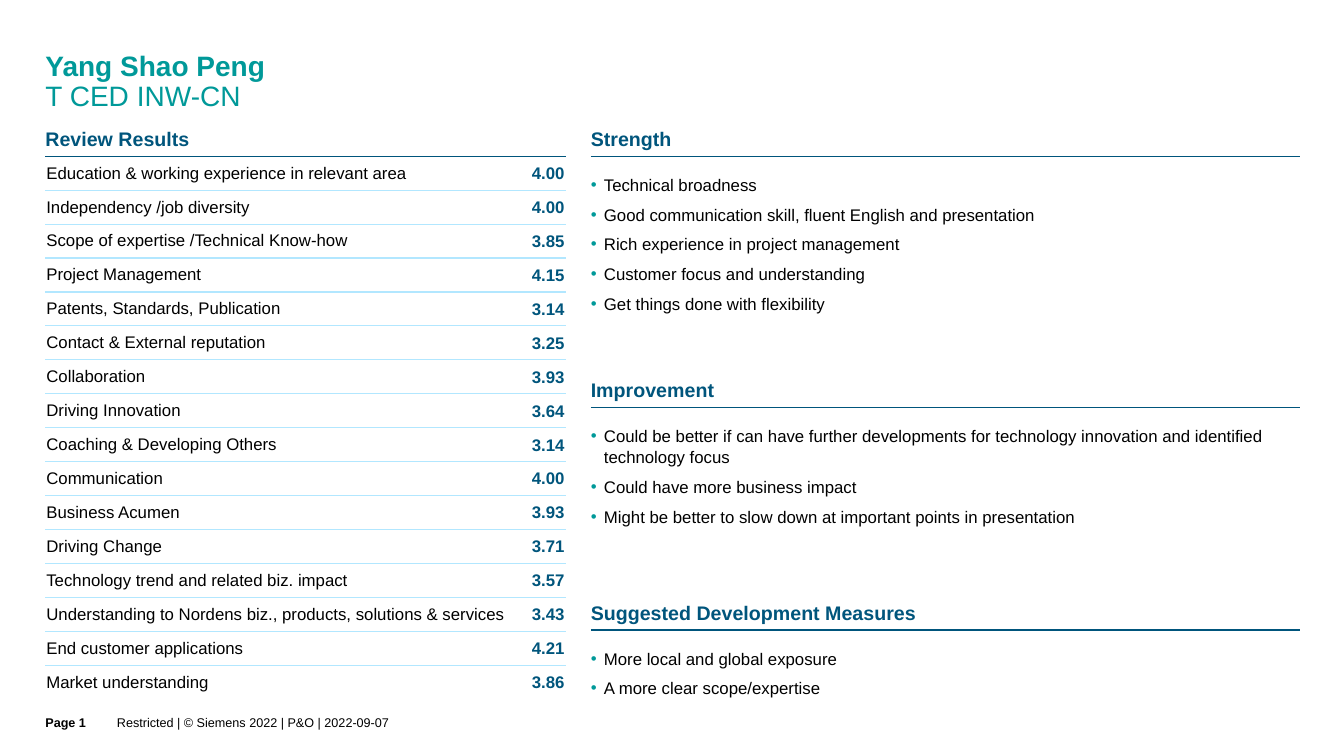
from dataclasses import dataclass
from typing import Optional

import lxml.etree
import pptx
import pptx.dml.color
import pptx.enum.shapes
import pptx.enum.text
import pptx.oxml
import pptx.oxml.ns
import pptx.util

Inches = pptx.util.Inches
Pt = pptx.util.Pt
Anchor = pptx.enum.text.MSO_ANCHOR
Align = pptx.enum.text.PP_ALIGN

COLORS = {"teal": "009999", "blue": "00557C", "rule": "B2E7FF", "text": "000000"}
FONT = "Arial"
LEFT, RIGHT = 0.45, 5.86
LEFT_WIDTH, RIGHT_WIDTH = 5.16, 7.03
FIRST_TOP = 1.24
RULE_OFFSET, LIST_OFFSET = 0.31, 0.48
TABLE_HEIGHT = 5.39
VALUE_WIDTH = 0.47


@dataclass
class Section:
    """A heading with a rule and, where it has points, a bullet list below."""
    heading: str
    left: float
    top: float
    width: float
    points: tuple[str, ...] = ()
    list_height: float = 0
    heading_idx: Optional[int] = None
    list_idx: Optional[int] = None


@dataclass
class Footer:
    text: str
    left: float
    width: float
    bold: bool


SECTIONS = [
    Section("Review Results", LEFT, FIRST_TOP, LEFT_WIDTH, heading_idx=1),
    Section("Strength", RIGHT, FIRST_TOP, RIGHT_WIDTH, (
        "Technical broadness",
        "Good communication skill, fluent English and presentation",
        "Rich experience in project management",
        "Customer focus and understanding",
        "Get things done with flexibility",
    ), 1.35, heading_idx=3, list_idx=2),
    Section("Improvement", RIGHT, 3.73, RIGHT_WIDTH, (
        "Could be better if can have further developments for technology "
        "innovation and identified technology focus",
        "Could have more business impact",
        "Might be better to slow down at important points in presentation",
    ), 0.98, list_idx=4),
    Section("Suggested Development Measures", RIGHT, 5.94, RIGHT_WIDTH, (
        "More local and global exposure",
        "A more clear scope/expertise",
    ), 0.49),
]

RESULTS = [
    ("Education & working experience in relevant area", "4.00"),
    ("Independency /job diversity", "4.00"),
    ("Scope of expertise /Technical Know-how", "3.85"),
    ("Project Management", "4.15"),
    ("Patents, Standards, Publication", "3.14"),
    ("Contact & External reputation", "3.25"),
    ("Collaboration", "3.93"),
    ("Driving Innovation", "3.64"),
    ("Coaching & Developing Others", "3.14"),
    ("Communication", "4.00"),
    ("Business Acumen", "3.93"),
    ("Driving Change", "3.71"),
    ("Technology trend and related biz. impact", "3.57"),
    ("Understanding to Nordens biz., products, solutions & services", "3.43"),
    ("End customer applications", "4.21"),
    ("Market understanding", "3.86"),
]

FOOTERS = [
    Footer("Restricted | © Siemens 2022 | P&O | 2022-09-07", 1.16, 10.08, False),
    Footer("Page 1", LEFT, 0.71, True),
]


def add_span(para, text: str, size: float, color: str, bold: bool = False) -> None:
    span = para.add_run()
    span.text = text
    span.font.name = FONT
    span.font.size = Pt(size)
    span.font.bold = bold
    span.font.color.rgb = pptx.dml.color.RGBColor.from_string(COLORS[color])


def place_box(slide, left: float, top: float, width: float, height: float,
              idx: Optional[int] = None, anchor=Anchor.TOP, right_inset: float = 0,
              bottom_inset: float = 0):
    """Return the text frame of a moved placeholder, or of a new text box."""
    area = [Inches(length) for length in (left, top, width, height)]
    if idx is None:
        box = slide.shapes.add_textbox(*area)
    else:
        box = next(item for item in slide.placeholders
                   if item.placeholder_format.idx == idx)
        box.left, box.top, box.width, box.height = area
    frame = box.text_frame
    frame.word_wrap = True
    frame.auto_size = pptx.enum.text.MSO_AUTO_SIZE.NONE
    frame.vertical_anchor = anchor
    frame.margin_left = frame.margin_top = 0
    frame.margin_right = Inches(right_inset)
    frame.margin_bottom = Inches(bottom_inset)
    return frame


def add_bullet(para) -> None:
    properties = para._p.get_or_add_pPr()
    properties.set("marL", str(Inches(0.13)))
    properties.set("indent", str(-Inches(0.13)))
    namespace = pptx.oxml.ns.nsdecls("a")
    for element in (
        f'<a:buClr {namespace}><a:srgbClr val="{COLORS["teal"]}"/></a:buClr>',
        f'<a:buFont {namespace} typeface="{FONT}"/>',
        f'<a:buChar {namespace} char="•"/>',
    ):
        properties.append(pptx.oxml.parse_xml(element))


def add_rule(slide, left: float, top: float, width: float) -> None:
    rule = slide.shapes.add_connector(
        pptx.enum.shapes.MSO_CONNECTOR.STRAIGHT,
        Inches(left), Inches(top), Inches(left + width), Inches(top))
    rule.line.color.rgb = pptx.dml.color.RGBColor.from_string(COLORS["blue"])
    rule.line.width = Pt(0.75)
    lxml.etree.SubElement(rule._element.spPr, pptx.oxml.ns.qn("a:effectLst"))


def add_section(slide, section: Section) -> None:
    frame = place_box(slide, section.left, section.top, section.width, 0.24,
                      section.heading_idx)
    para = frame.paragraphs[0]
    para.line_spacing = 1.1
    para.space_before, para.space_after = Pt(0), Pt(3)
    add_span(para, section.heading, 14, "blue", True)
    add_rule(slide, section.left, section.top + RULE_OFFSET, section.width)
    if not section.points:
        return
    frame = place_box(slide, section.left, section.top + LIST_OFFSET, section.width,
                      section.list_height, section.list_idx)
    for number, point in enumerate(section.points):
        para = frame.add_paragraph() if number else frame.paragraphs[0]
        para.line_spacing = 1.06
        para.space_before, para.space_after = Pt(3 if number else 0), Pt(3)
        add_bullet(para)
        add_span(para, point, 12, "text")


def set_borders(cell, top: bool, bottom: bool) -> None:
    """Draw the chosen horizontal borders and clear the other sides."""
    properties = cell._tc.get_or_add_tcPr()
    sides = {"lnL": False, "lnR": False, "lnT": top, "lnB": bottom}
    for position, (side, shown) in enumerate(sides.items()):
        fill = (f'<a:solidFill><a:srgbClr val="{COLORS["rule"]}"/></a:solidFill>'
                if shown else "<a:noFill/>")
        properties.insert(position, pptx.oxml.parse_xml(
            f'<a:{side} {pptx.oxml.ns.nsdecls("a")} w="{Pt(1)}">{fill}</a:{side}>'))


def fill_cell(cell, text: str, is_value: bool) -> None:
    cell.fill.background()
    cell.vertical_anchor = Anchor.MIDDLE
    cell.margin_left = cell.margin_right = Inches(0.01)
    cell.margin_top = Inches(0.01 if is_value else 0.06)
    cell.margin_bottom = Inches(0 if is_value else 0.06)
    para = cell.text_frame.paragraphs[0]
    para.alignment = Align.RIGHT if is_value else Align.LEFT
    add_span(para, text, 12, "blue" if is_value else "text", is_value)


def add_results(slide) -> None:
    table = slide.shapes.add_table(
        len(RESULTS), 2, Inches(LEFT), Inches(FIRST_TOP + RULE_OFFSET),
        Inches(LEFT_WIDTH), Inches(TABLE_HEIGHT)).table
    table.first_row = table.horz_banding = False
    table.columns[0].width = Inches(LEFT_WIDTH - VALUE_WIDTH)
    table.columns[1].width = Inches(VALUE_WIDTH)
    for row, result in enumerate(RESULTS):
        for column, text in enumerate(result):
            cell = table.cell(row, column)
            fill_cell(cell, text, column == 1)
            set_borders(cell, row > 0, row < len(RESULTS) - 1)


def main() -> None:
    deck = pptx.Presentation()
    deck.slide_width, deck.slide_height = Inches(13.33), Inches(7.5)
    page = deck.slides.add_slide(deck.slide_layouts.get_by_name("Comparison"))
    title = place_box(page, LEFT, 0.52, 10.79, 0.63, 0, right_inset=0.35,
                      bottom_inset=0.02).paragraphs[0]
    title.alignment = Align.LEFT
    title.line_spacing = 0.9
    add_span(title, "Yang Shao Peng", 20, "teal", True)
    title.add_line_break()
    add_span(title, "T CED INW-CN", 20, "teal")
    add_results(page)
    for section in SECTIONS:
        add_section(page, section)
    for footer in FOOTERS:
        frame = place_box(page, footer.left, 6.9, footer.width, 0.6,
                          anchor=Anchor.MIDDLE, bottom_inset=0.07)
        add_span(frame.paragraphs[0], footer.text, 9, "text", footer.bold)
    deck.save("out.pptx")


if __name__ == "__main__":
    main()
